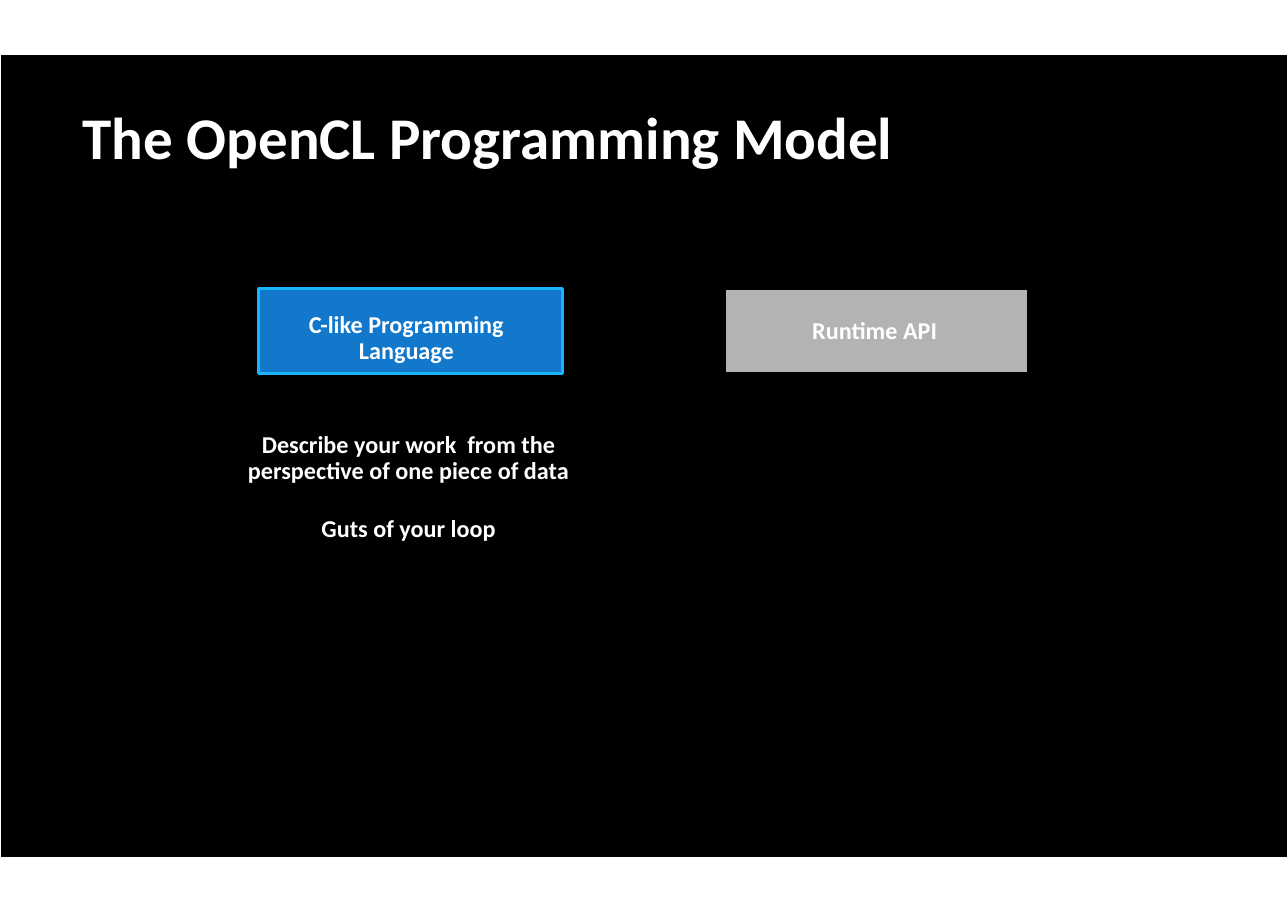
from dataclasses import dataclass

from pptx import Presentation
from pptx import util as u
from pptx.dml.color import RGBColor
from pptx.enum import shapes, text


@dataclass(frozen=True)
class Theme:
    """Colours, font and type sizes of the slide."""
    font: str = "Calibri"
    black: str = "000000"
    white: str = "FFFFFF"
    grey: str = "B3B3B3"
    blue: str = "1178CC"
    light_blue: str = "19B4FC"
    title_size: float = 38.6
    title_leading: float = 41
    body_size: float = 15.8
    body_leading: float = 17


class SlideBuilder:
    """Draws styled elements on the current slide."""

    def __init__(self, prs, theme):
        self.theme = theme
        self.slide = prs.slides.add_slide(prs.slide_layouts[6])

    def set_text(self, tf, lines, size, leading, align, gap=0):
        """Fill a text frame with bold white paragraphs."""
        tf.margin_left = tf.margin_right = tf.margin_top = tf.margin_bottom = 0
        for i, line in enumerate(lines):
            p = tf.add_paragraph() if i else tf.paragraphs[0]
            p.text = line
            p.alignment = align
            p.line_spacing = u.Pt(leading)
            if i:
                p.space_before = u.Pt(gap)
            p.font.name = self.theme.font
            p.font.size = u.Pt(size)
            p.font.bold = True
            p.font.color.rgb = RGBColor.from_string(self.theme.white)

    def rectangle(self, left, top, width, height, fill, line=None):
        """Add a filled rectangle with an optional outline."""
        sp = self.slide.shapes.add_shape(
            shapes.MSO_SHAPE.RECTANGLE, u.Inches(left), u.Inches(top), u.Inches(width), u.Inches(height))
        sp.shadow.inherit = False
        sp.fill.solid()
        sp.fill.fore_color.rgb = RGBColor.from_string(fill)
        if line:
            sp.line.color.rgb = RGBColor.from_string(line)
            sp.line.width = u.Pt(2)
        else:
            sp.line.fill.background()
        return sp

    def topic(self, left, label, fill, line, right_inset, top_inset):
        """Add a labelled topic box in the row of topics."""
        tf = self.rectangle(left, 2.62, 2.76, 0.77, fill, line).text_frame
        self.set_text(tf, [label], self.theme.body_size, self.theme.body_leading, text.PP_ALIGN.CENTER)
        tf.vertical_anchor = text.MSO_ANCHOR.MIDDLE
        tf.margin_right = u.Inches(right_inset)
        tf.margin_top = u.Inches(top_inset)

    def text_box(self, left, top, width, height, lines, size, leading, align, gap=0):
        """Add a text box without margins."""
        box = self.slide.shapes.add_textbox(
            u.Inches(left), u.Inches(top), u.Inches(width), u.Inches(height))
        box.text_frame.word_wrap = True
        self.set_text(box.text_frame, lines, size, leading, align, gap)


def main():
    """Build the slide and save it."""
    prs = Presentation()
    prs.slide_width, prs.slide_height = u.Inches(11.69), u.Inches(8.27)
    theme = Theme()
    s = SlideBuilder(prs, theme)

    s.rectangle(0.01, 0.5, 11.67, 7.28, theme.black)
    s.text_box(0.75, 0.99, 9, 0.64, ["The OpenCL Programming Model"],
               theme.title_size, theme.title_leading, text.PP_ALIGN.LEFT)
    s.topic(6.58, "Runtime API", theme.grey, theme.black, 0.04, 0)
    s.topic(2.35, "C-like Programming\vLanguage", theme.blue, theme.light_blue, 0.08, 0.13)
    s.text_box(2.11, 3.92, 3.2, 1.05,
               ["Describe your work  from the\vperspective of one piece of data", "Guts of your loop"],
               theme.body_size, theme.body_leading, text.PP_ALIGN.CENTER, gap=21)

    prs.save("out.pptx")


if __name__ == "__main__":
    main()
